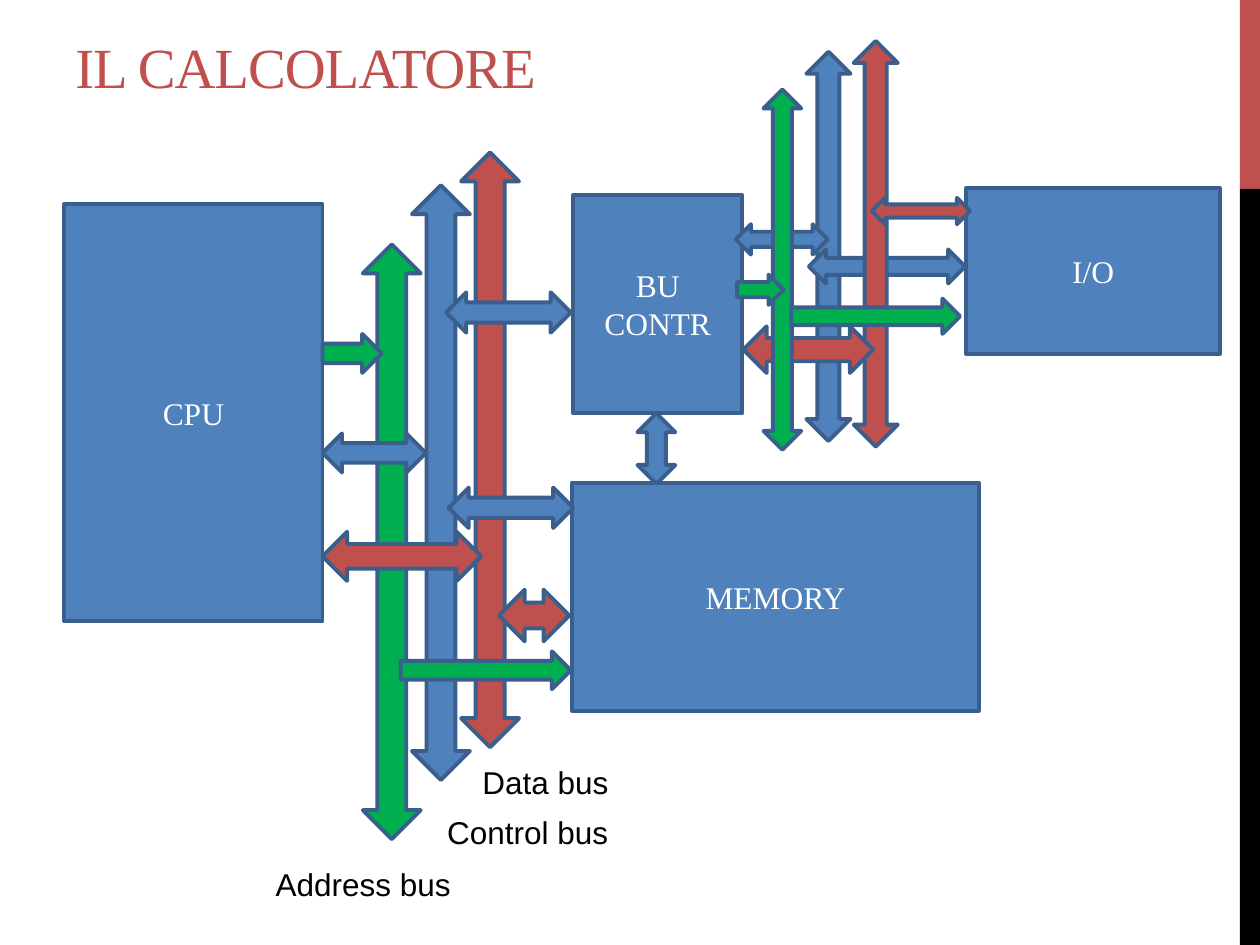
"""Build the slide on computer architecture: blocks joined by address, control and data buses."""
from pptx import Presentation
from pptx.dml.color import RGBColor
from pptx.enum.shapes import MSO_SHAPE as Shape
from pptx.enum.text import MSO_ANCHOR as Anchor, PP_ALIGN as Align
from pptx.util import Inches, Pt

WIDTH, HEIGHT = Inches(10), Inches(7.5)
COLUMNS = 100
CELL = WIDTH / COLUMNS
SERIF, SANS = "Times New Roman", "Arial"

COLORS = {"red": "C0504D", "blue": "4F81BD", "green": "00B050",
          "edge": "3A5F8C", "black": "000000", "white": "FFFFFF"}
KINDS = {"block": Shape.RECTANGLE, "both": Shape.LEFT_RIGHT_ARROW, "right": Shape.RIGHT_ARROW}

SIDEBAR = [("red", (98.4, 0, 1.6, 15)), ("black", (98.4, 15, 1.6, 60))]
TITLE = ("IL CALCOLATORE", (5, 1.7, 63.3, 6.7))

DIAGRAM = [
    ("block", "blue", (5.1, 16.2, 20.5, 33.1), "CPU"),
    ("both", "red", (36.6, 12.1, 4.6, 47.2), ""),
    ("block", "blue", (45.5, 15.5, 13.4, 17.3), "BU CONTR"),
    ("block", "blue", (45.4, 38.3, 32.3, 18.1), "MEMORY"),
    ("both", "green", (28.8, 19.4, 4.6, 47.2), ""),
    ("both", "blue", (32.7, 14.7, 4.6, 47.2), ""),
    ("block", "blue", (76.7, 14.9, 20.1, 13.2), "I/O"),
    ("both", "blue", (64, 4.1, 3.5, 30.9), ""),
    ("right", "green", (25.6, 26.5, 4.7, 3.1), ""),
    ("both", "blue", (25.6, 34.4, 8.2, 3.1), ""),
    ("both", "red", (25.6, 42.2, 12.6, 3.9), ""),
    ("both", "red", (39.6, 46.8, 5.6, 4.1), ""),
    ("right", "green", (31.8, 51.7, 13.5, 3), ""),
    ("both", "blue", (35.4, 23.2, 9.9, 3.2), ""),
    ("both", "blue", (35.6, 38.7, 9.9, 3.2), ""),
    ("both", "blue", (50.6, 32.8, 3, 5.6), ""),
    ("both", "blue", (58.4, 17.8, 7.3, 2.4), ""),
    ("both", "blue", (64.2, 19.8, 12.4, 2.7), ""),
    ("both", "red", (67.75, 3.25, 3.5, 32.2), ""),
    ("both", "red", (59, 25.9, 10.3, 3.7), ""),
    ("both", "red", (69.2, 15.7, 7.8, 2.1), ""),
    ("both", "green", (60.6, 7.1, 3, 28.6), ""),
    ("right", "green", (58.5, 21.8, 3.7, 2.4), ""),
    ("right", "green", (62.8, 23.7, 13.4, 2.8), ""),
]

LABELS = [
    ("Address bus", (20.9, 68.2, 16, 4)),
    ("Control bus", (34.5, 64, 14.9, 4)),
    ("Data bus", (37.3, 60.1, 12.1, 4)),
]


def color(name):
    return RGBColor.from_string(COLORS[name])


def place(frame):
    return [round(cells * CELL) for cells in frame]


def write(box, text, font, size, ink):
    box.text_frame.text = text
    span = box.text_frame.paragraphs[0].runs[0]
    span.font.name, span.font.size = font, Pt(size)
    span.font.color.rgb = color(ink)
    return span


def add_shape(page, kind, fill, frame):
    left, top, width, height = frame
    upright = kind == "both" and height > width
    if upright:
        shift = (height - width) / 2
        frame = (left - shift, top + shift, height, width)
    shape = page.shapes.add_shape(KINDS[kind], *place(frame))
    shape.rotation = 270 if upright else 0
    shape.shadow.inherit = False
    shape.fill.solid()
    shape.fill.fore_color.rgb = color(fill)
    return shape


def add_part(page, kind, fill, frame, text):
    shape = add_shape(page, kind, fill, frame)
    shape.line.color.rgb = color("edge")
    shape.line.width = Pt(2.25)
    if text:
        write(shape, text, SERIF, 18, "white")
        shape.text_frame.word_wrap = True
        shape.text_frame.vertical_anchor = Anchor.MIDDLE
        shape.text_frame.paragraphs[0].alignment = Align.CENTER


def add_title(page, text, frame):
    box = page.shapes.add_textbox(*place(frame))
    span = write(box, text, SERIF, 32.4, "red")
    span.font._element.set("spc", "-60")
    box.text_frame.word_wrap = True
    box.text_frame.vertical_anchor = Anchor.BOTTOM


def main():
    deck = Presentation()
    deck.slide_width, deck.slide_height = WIDTH, HEIGHT
    page = deck.slides.add_slide(deck.slide_layouts[6])
    for fill, frame in SIDEBAR:
        add_shape(page, "block", fill, frame).line.fill.background()
    add_title(page, *TITLE)
    for part in DIAGRAM:
        add_part(page, *part)
    for text, frame in LABELS:
        box = page.shapes.add_textbox(*place(frame))
        write(box, text, SANS, 18, "black")
        box.text_frame.word_wrap = False
    deck.save("out.pptx")


if __name__ == "__main__":
    main()
